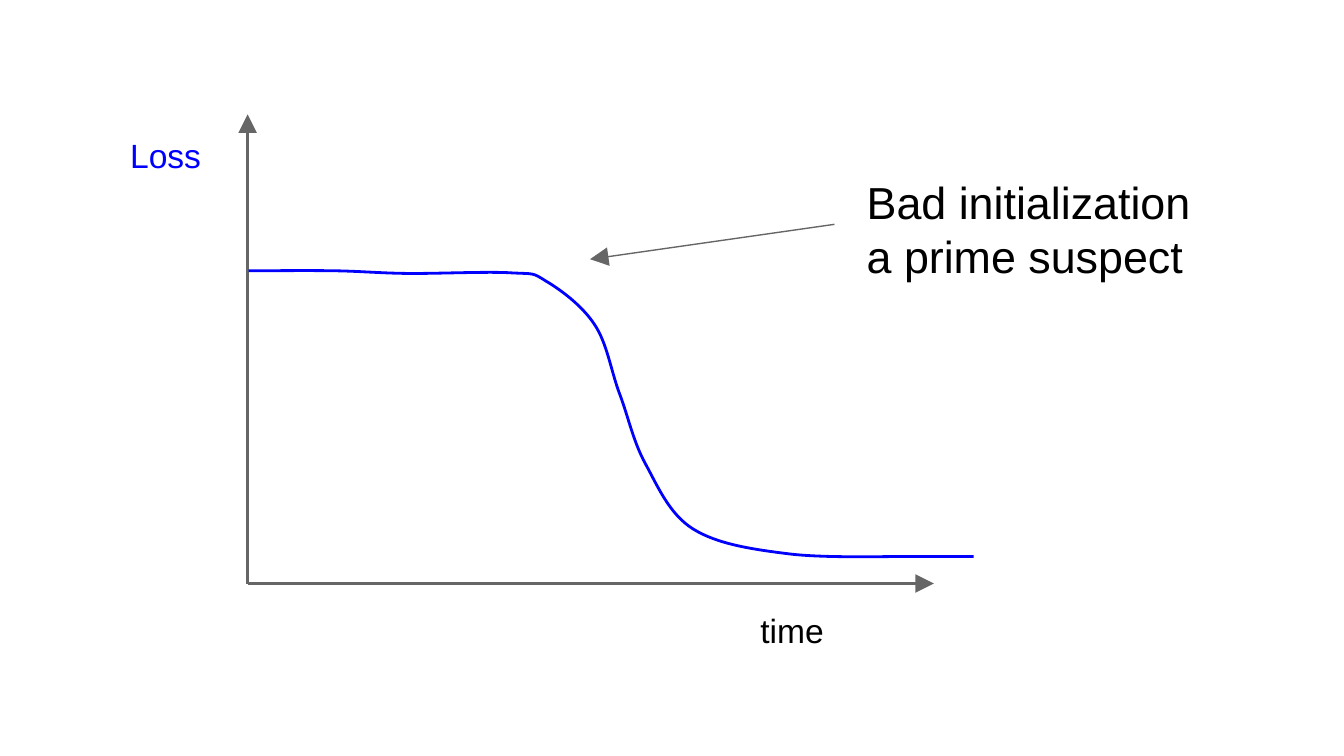
import pptx
import pptx.dml.color
import pptx.enum.shapes
import pptx.oxml.ns
import pptx.util
import lxml.etree

Cm = pptx.util.Cm
Pt = pptx.util.Pt
qn = pptx.oxml.ns.qn
GREY = pptx.dml.color.RGBColor(0x66, 0x66, 0x66)
BLUE = pptx.dml.color.RGBColor(0x00, 0x00, 0xFF)
BLACK = pptx.dml.color.RGBColor(0x00, 0x00, 0x00)


def add_text(slide, text, left, top, width, height, size=18, color=BLACK):
    tf = slide.shapes.add_textbox(Cm(left), Cm(top), Cm(width), Cm(height)).text_frame
    tf.word_wrap = True
    tf.margin_left = tf.margin_right = tf.margin_top = tf.margin_bottom = Cm(0.25)
    tf.text = text
    for p in tf.paragraphs:
        p.font.name = "Arial"
        p.font.size = Pt(size)
        p.font.color.rgb = color


def add_arrow(slide, start, end, weight):
    """Draw a grey line with a large triangular head at its end."""
    line = slide.shapes.add_connector(
        pptx.enum.shapes.MSO_CONNECTOR.STRAIGHT, *map(Cm, start + end))
    line.line.color.rgb = GREY
    line.line.width = Pt(weight)
    sp_pr = line._element.spPr
    lxml.etree.SubElement(sp_pr.find(qn("a:ln")), qn("a:tailEnd"),
                          type="triangle", w="lg", len="lg")
    lxml.etree.SubElement(sp_pr, qn("a:effectLst"))


prs = pptx.Presentation()
prs.slide_width = Cm(25.4)
prs.slide_height = Cm(14.29)
s = prs.slides.add_slide(prs.slide_layouts[6])

# Axes
origin = (4.68, 11.03)
add_arrow(s, origin, (4.68, 2.16), 1.5)
add_arrow(s, origin, (17.65, 11.03), 1.5)

# Loss curve: each row holds two control points and an end point
curve_start = (4.7, 5.12)
curve_segments = [
    ((4.98, 5.12), (5.83, 5.11), (6.37, 5.12)),
    ((6.88, 5.13), (7.26, 5.17), (7.82, 5.17)),
    ((8.38, 5.17), (9.28, 5.13), (9.69, 5.16)),
    ((10.1, 5.18), (10.06, 5.15), (10.31, 5.31)),
    ((10.57, 5.46), (11, 5.77), (11.24, 6.14)),
    ((11.48, 6.5), (11.55, 7.03), (11.72, 7.47)),
    ((11.88, 7.9), (11.97, 8.35), (12.2, 8.77)),
    ((12.43, 9.19), (12.65, 9.72), (13.1, 10)),
    ((13.55, 10.28), (14.18, 10.38), (14.91, 10.47)),
    ((15.64, 10.56), (16.89, 10.51), (17.48, 10.52)),
    ((18.06, 10.52), (18.24, 10.52), (18.4, 10.52)),
]
builder = s.shapes.build_freeform(Cm(curve_start[0]), Cm(curve_start[1]))
builder.add_line_segments([(Cm(x), Cm(y)) for _, _, (x, y) in curve_segments], close=False)
sp = builder.convert_to_shape()
sp.shadow.inherit = False
sp.fill.background()
sp.line.color.rgb = BLUE
sp.line.width = Pt(1.5)

# Turn the straight segments into Bezier segments
for straight, segment in zip(list(sp._element.iter(qn("a:lnTo"))), curve_segments):
    bezier = lxml.etree.Element(qn("a:cubicBezTo"))
    for x, y in segment:
        lxml.etree.SubElement(bezier, qn("a:pt"),
                              x=str(Cm(x) - sp.left), y=str(Cm(y) - sp.top))
    straight.getparent().replace(straight, bezier)

# Labels
add_text(s, "Loss", 2.21, 2.31, 3.2, 1.09, color=BLUE)
add_text(s, "time", 14.12, 11.28, 3.2, 0.81)
add_text(s, "Bad initialization\na prime suspect", 16.13, 3.05, 6.76, 2.34, size=24)
add_arrow(s, (15.77, 4.24), (11.15, 4.9), 0.75)

prs.save("out.pptx")
